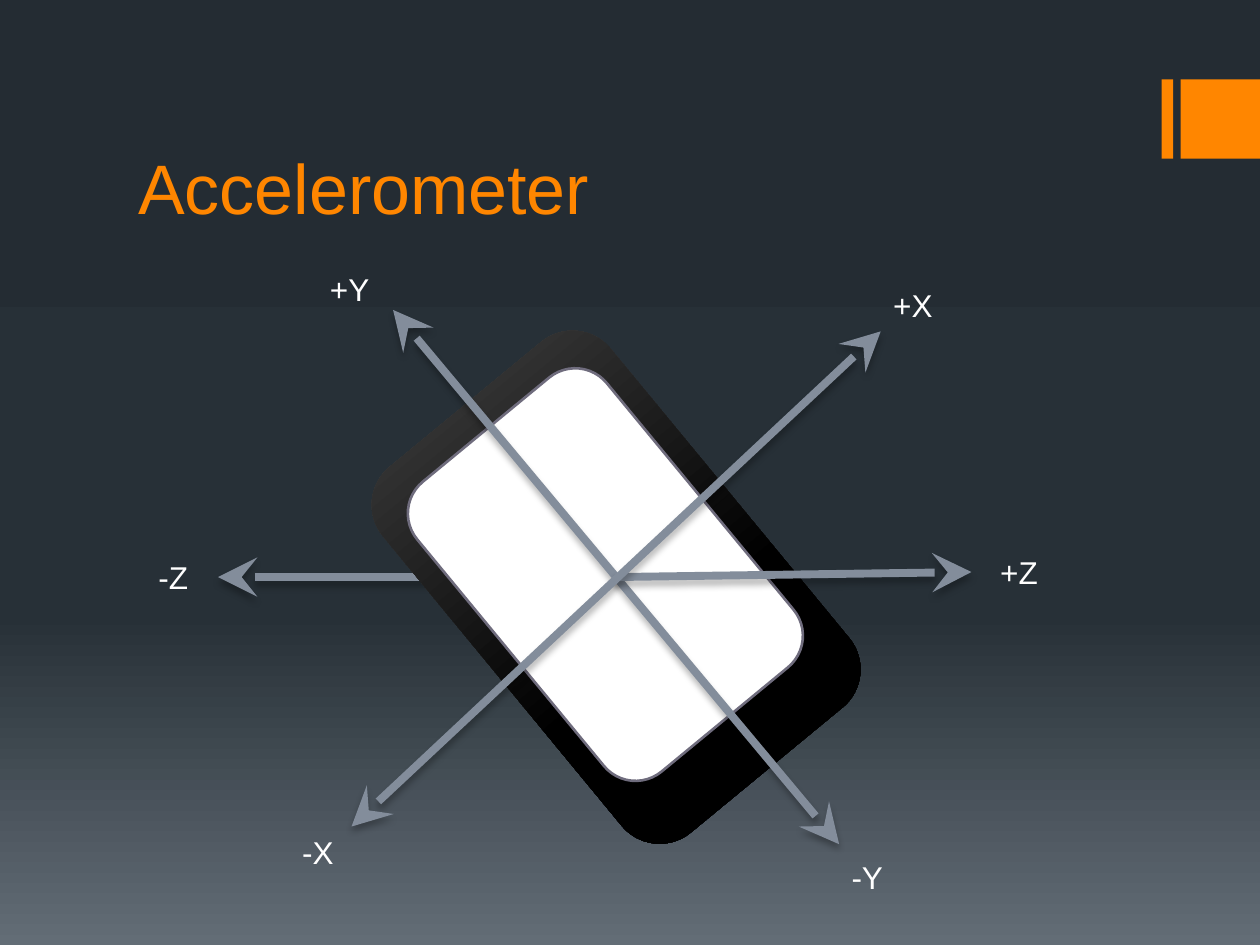
from copy import deepcopy
from dataclasses import dataclass

from pptx import Presentation, oxml, util as u
from pptx.dml import color
from pptx.enum import shapes, text
from pptx.oxml import ns


@dataclass(frozen=True)
class Theme:
    font: str = "Arial"
    accent: str = "FF8600"
    label: str = "FFFFFF"
    axis: str = "838D9B"
    screen: str = "FFFFFF"
    bezel: str = "6F6C7D"
    backdrop: tuple = ((0, "242C33"), (65, "273037"), (100, "636D76"))
    body: tuple = ((0, "484848"), (60, "000000"), (100, "000000"))
    title_size: float = 40
    label_size: float = 18
    axis_width: float = 4.5
    bezel_width: float = 1.5


SHADOW = (
    f'<a:effectLst {ns.nsdecls("a")}>'
    '<a:outerShdw blurRad="50800" dist="38100" dir="5400000" rotWithShape="0">'
    '<a:srgbClr val="000000"><a:alpha val="28000"/></a:srgbClr>'
    "</a:outerShdw></a:effectLst>"
)


def rgb(value):
    return color.RGBColor.from_string(value)


def apply(target, values):
    for name, value in values.items():
        setattr(target, name, value)


class SlideBuilder:
    def __init__(self, slide, theme):
        self.slide = slide
        self.theme = theme

    def gradient(self, fill, owner, stops):
        fill.gradient()
        fill.gradient_angle = 270
        stop_list = owner.xpath(".//a:gsLst")[0]
        pattern = deepcopy(stop_list[0])
        for old in list(stop_list):
            stop_list.remove(old)
        for _ in stops:
            stop_list.append(deepcopy(pattern))
        for stop, (position, value) in zip(fill.gradient_stops, stops):
            stop.position = position / 100
            stop.color.rgb = rgb(value)

    def background(self, stops):
        self.gradient(self.slide.background.fill, self.slide._element, stops)

    def shape(self, kind, place, fill, outline=None, rotation=0):
        shape = self.slide.shapes.add_shape(kind, *map(u.Inches, place))
        shape.shadow.inherit = False
        shape.rotation = rotation
        if isinstance(fill, str):
            shape.fill.solid()
            shape.fill.fore_color.rgb = rgb(fill)
        else:
            self.gradient(shape.fill, shape._element, fill)
        if outline:
            shape.line.color.rgb = rgb(outline)
            shape.line.width = u.Pt(self.theme.bezel_width)
        else:
            shape.line.fill.background()

    def text(self, words, place, size, value, frame_format):
        box = self.slide.shapes.add_textbox(*map(u.Inches, place))
        apply(box.text_frame, frame_format)
        span = box.text_frame.paragraphs[0].add_run()
        span.text = words
        apply(span.font, {"name": self.theme.font, "size": u.Pt(size)})
        span.font.color.rgb = rgb(value)

    def title(self, words, place):
        self.text(words, place, self.theme.title_size, self.theme.accent,
                  {"word_wrap": True, "vertical_anchor": text.MSO_ANCHOR.BOTTOM})

    def label(self, words, place):
        self.text(words, place, self.theme.label_size, self.theme.label,
                  {"word_wrap": False,
                   "auto_size": text.MSO_AUTO_SIZE.SHAPE_TO_FIT_TEXT})

    def axis(self, start, end, ends=("headEnd", "tailEnd")):
        line = self.slide.shapes.add_connector(
            shapes.MSO_CONNECTOR.STRAIGHT, *map(u.Inches, start + end))
        line.line.color.rgb = rgb(self.theme.axis)
        line.line.width = u.Pt(self.theme.axis_width)
        outline = line._element.xpath(".//a:ln")[0]
        for tag in ends:
            outline.append(oxml.parse_xml(
                f'<a:{tag} {ns.nsdecls("a")} type="stealth" w="lg" len="lg"/>'))
        line._element.spPr.append(oxml.parse_xml(SHADOW))


def main():
    theme = Theme()
    deck = Presentation()
    apply(deck, {"slide_width": u.Inches(10), "slide_height": u.Inches(7.5)})
    page = SlideBuilder(deck.slides.add_slide(deck.slide_layouts[6]), theme)
    kinds = shapes.MSO_SHAPE
    center = (4.88, 4.58)
    tilt = 320.5

    page.background(theme.backdrop)
    for left, width in ((9.22, 0.09), (9.37, 0.63)):
        page.shape(kinds.RECTANGLE, (left, 0.63, width, 0.63), theme.accent)

    page.axis(center, (1.73, 4.58))
    page.title("Accelerometer", (1, 0.6, 8, 1.26))
    page.shape(kinds.ROUNDED_RECTANGLE, (3.72, 2.78, 2.34, 3.76),
               theme.body, rotation=tilt)
    page.shape(kinds.ROUNDED_RECTANGLE, (3.83, 3.07, 1.95, 2.98),
               theme.screen, theme.bezel, tilt)

    for words, left, top, width in (
        ("-Y", 6.66, 6.76, 0.45),
        ("+Y", 2.52, 2.09, 0.52),
        ("+Z", 7.84, 4.34, 0.5),
        ("-Z", 1.16, 4.38, 0.44),
        ("+X", 6.99, 2.22, 0.52),
        ("-X", 2.3, 6.56, 0.45),
    ):
        page.label(words, (left, top, width, 0.4))

    page.axis((3.12, 2.46), (6.66, 6.7))
    page.axis(center, (7.71, 4.54), ("tailEnd",))
    page.axis((2.79, 6.56), (6.99, 2.63))
    deck.save("out.pptx")


if __name__ == "__main__":
    main()
